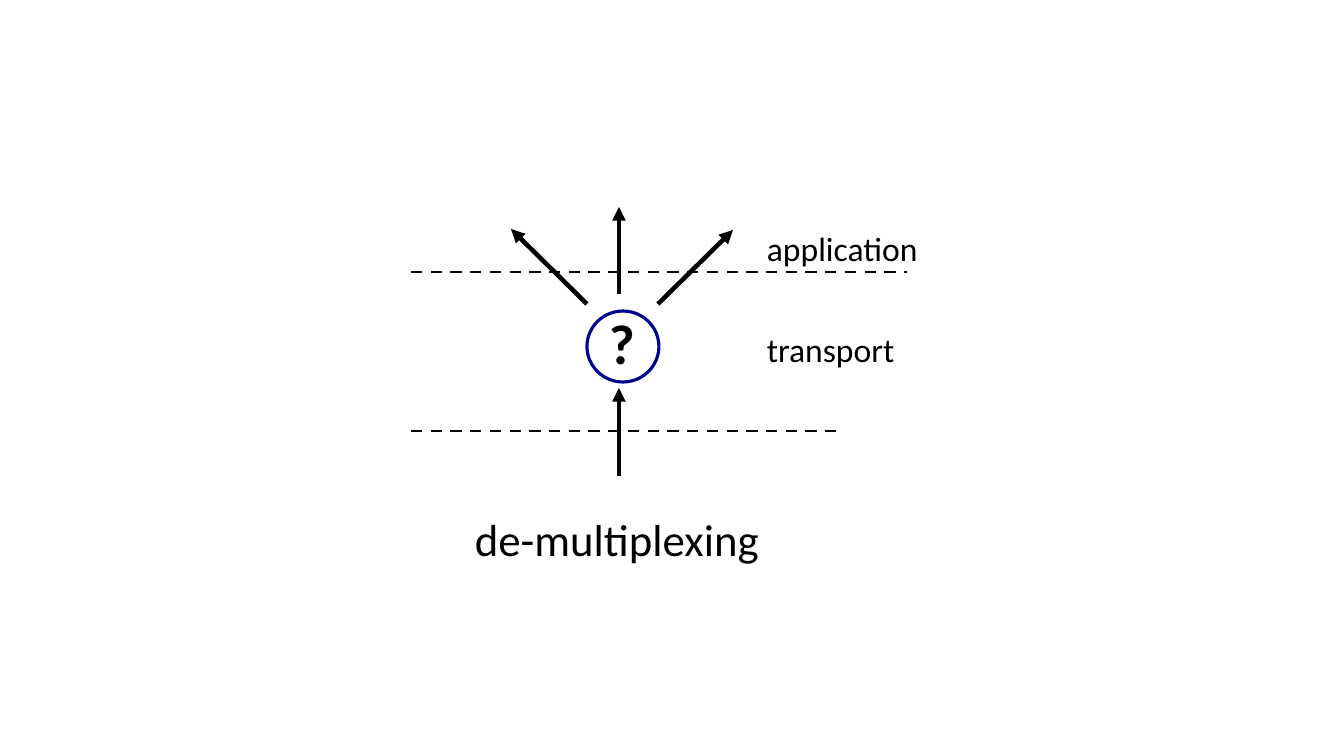
import pptx
import pptx.dml.color
import pptx.enum.dml
import pptx.enum.shapes
import pptx.enum.text
import pptx.oxml
import pptx.oxml.ns
import pptx.util
from lxml import etree

EMU_PER_PX = 914400 / 100.8
BLANK_LAYOUT = 6
FONT = "Calibri"
BLACK = pptx.dml.color.RGBColor(0x00, 0x00, 0x00)
WHITE = pptx.dml.color.RGBColor(0xFF, 0xFF, 0xFF)
NAVY = pptx.dml.color.RGBColor(0x00, 0x00, 0x90)

FLOW_X = 619
LAYER_LEFT = 411
LABEL_LEFT = 757
ARROWS = [
    ((FLOW_X, 476), (FLOW_X, 388)),
    ((587, 304), (511, 229)),
    ((658, 304), (733, 230)),
    ((FLOW_X, 294), (FLOW_X, 207)),
]
LAYER_BOUNDARIES = [(431, 844), (272, 907)]
LAYER_LABELS = [("transport", 324, 150), ("application", 223, 173)]


def px(length):
    return pptx.util.Emu(round(length * EMU_PER_PX))


def add_line(slide, start, end, width):
    connector = slide.shapes.add_connector(
        pptx.enum.shapes.MSO_CONNECTOR.STRAIGHT, *map(px, start + end))
    connector.line.color.rgb = BLACK
    connector.line.width = pptx.util.Pt(width)
    etree.SubElement(connector._element.spPr, pptx.oxml.ns.qn("a:effectLst"))
    return connector


def add_arrow(slide, start, end):
    connector = add_line(slide, start, end, 3.25)
    line = connector.line._get_or_add_ln()
    etree.SubElement(line, pptx.oxml.ns.qn("a:tailEnd"), type="triangle")


def add_layer_boundary(slide, y, right):
    connector = add_line(slide, (LAYER_LEFT, y), (right, y), 2)
    connector.line.dash_style = pptx.enum.dml.MSO_LINE.DASH


def add_circle(slide, left, top, width, height):
    shape = slide.shapes.add_shape(
        pptx.enum.shapes.MSO_SHAPE.OVAL, *map(px, (left, top, width, height)))
    shape.shadow.inherit = False
    shape.fill.solid()
    shape.fill.fore_color.rgb = WHITE
    shape.line.color.rgb = NAVY
    shape.line.width = pptx.util.Pt(2.25)


def add_label(slide, text, box, size, bold=False):
    shape = slide.shapes.add_textbox(*map(px, box))
    frame = shape.text_frame
    frame.word_wrap = False
    frame.auto_size = pptx.enum.text.MSO_AUTO_SIZE.SHAPE_TO_FIT_TEXT
    run = frame.paragraphs[0].add_run()
    run.text = text
    run.font.name = FONT
    run.font.size = pptx.util.Pt(size)
    run.font.bold = bold
    run.font.color.rgb = BLACK


def main():
    presentation = pptx.Presentation()
    presentation.slide_width = px(1344)
    presentation.slide_height = px(756)
    slide = presentation.slides.add_slide(presentation.slide_layouts[BLANK_LAYOUT])

    add_circle(slide, 587, 311, 72, 71)
    add_label(slide, "?", (599, 304, 46, 78), 40, bold=True)
    for start, end in ARROWS:
        add_arrow(slide, start, end)
    add_label(slide, "de-multiplexing", (465, 507, 307, 65), 32)
    for y, right in LAYER_BOUNDARIES:
        add_layer_boundary(slide, y, right)
    for text, top, width in LAYER_LABELS:
        add_label(slide, text, (LABEL_LEFT, top, width, 50), 24)

    presentation.save("out.pptx")


if __name__ == "__main__":
    main()
